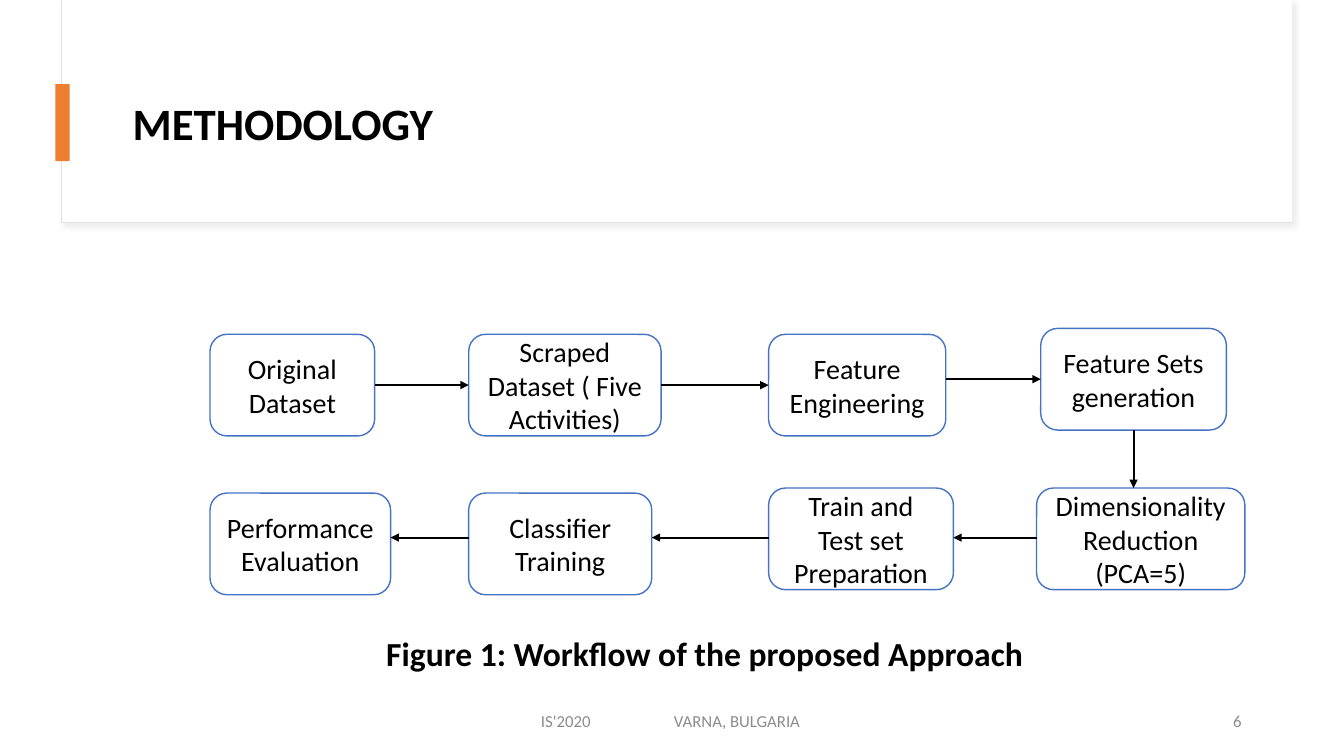
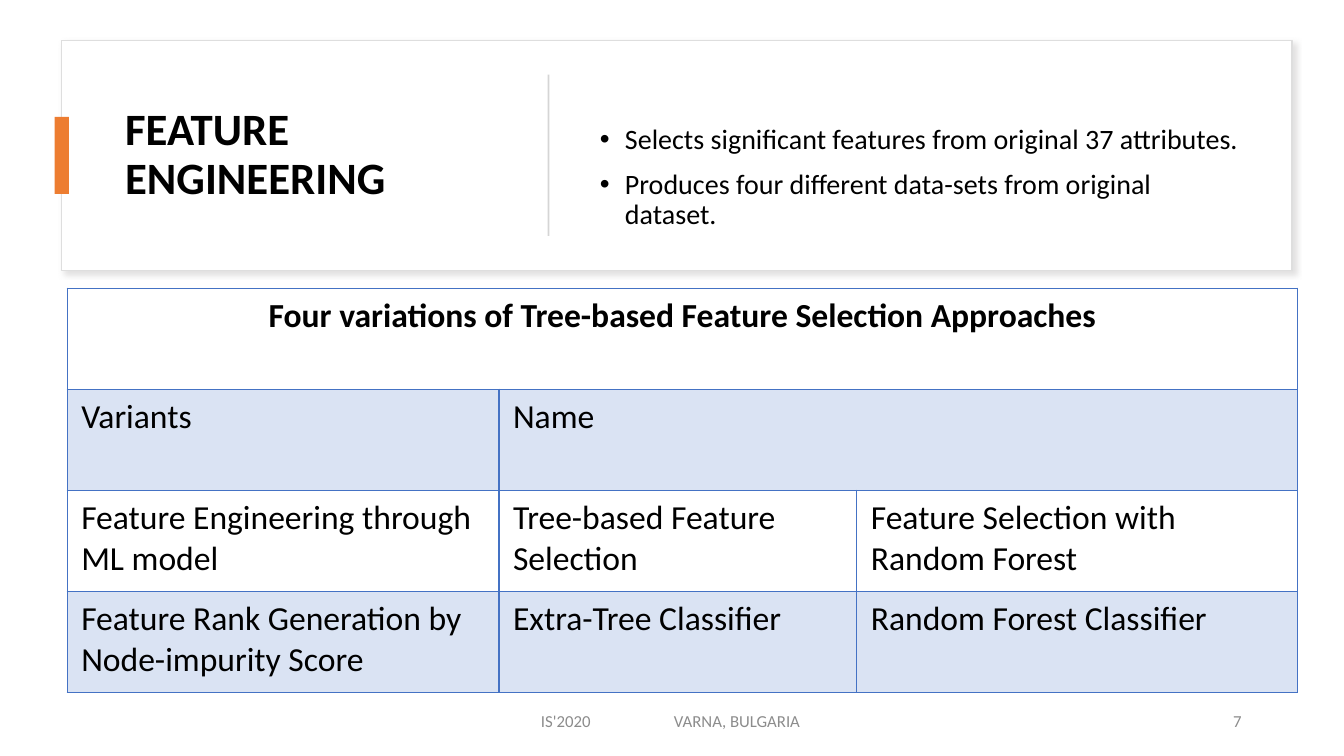
from dataclasses import dataclass
from itertools import pairwise

from lxml import etree
from pptx import Presentation
from pptx import util as u
from pptx.dml.color import RGBColor
from pptx.enum import shapes, text
from pptx.oxml.ns import qn

# The slide is a grid of 160 columns and 90 rows, twelve to the inch.
COLS, ROWS, PER_INCH = 160, 90, 12
FONT = "Calibri"
BLACK, WHITE, GREY = "000000", "FFFFFF", "8C8C8C"
BLUE, PALE_BLUE, ORANGE, RULE = "4472C4", "DAE3F3", "ED7D31", "D5D5D5"
LEFT, CENTER, RIGHT = text.PP_ALIGN.LEFT, text.PP_ALIGN.CENTER, text.PP_ALIGN.RIGHT
TOP, MIDDLE = text.MSO_ANCHOR.TOP, text.MSO_ANCHOR.MIDDLE
RECT, ROUND = shapes.MSO_SHAPE.RECTANGLE, shapes.MSO_SHAPE.ROUNDED_RECTANGLE

STEP_COLS = (25, 55.8, 91.5, 123.9)
STEP_ROWS = (39.8, 58.7)
ARROW_ROWS = (45.85, 64)
STEP_HEIGHT = 12.1


@dataclass(frozen=True)
class Box:
    x: float
    y: float
    w: float
    h: float

    @property
    def emu(self) -> list[u.Emu]:
        return [grid(n) for n in (self.x, self.y, self.w, self.h)]


@dataclass(frozen=True)
class Step:
    label: str
    col: int
    row: int
    width: float
    shift: float = 0
    lift: float = 0

    @property
    def box(self) -> Box:
        return Box(STEP_COLS[self.col] + self.shift, STEP_ROWS[self.row] - self.lift,
                   self.width, STEP_HEIGHT)


# In order of the workflow: along the upper row, then back along the lower one.
STEPS = (
    Step("Original Dataset", 0, 0, 19.6),
    Step("Scraped Dataset ( Five Activities)", 1, 0, 22.9),
    Step("Feature Engineering", 2, 0, 21.1),
    Step("Feature Sets generation", 3, 0, 22.1, lift=0.7),
    Step("Dimensionality Reduction (PCA=5)", 3, 1, 24.8, shift=-0.5, lift=0.6),
    Step("Train and Test set Preparation", 2, 1, 22, lift=0.6),
    Step("Classifier Training", 1, 1, 21.8),
    Step("Performance Evaluation", 0, 1, 21.5),
)

BULLETS = (
    "Selects significant features from original 37 attributes.",
    "Produces four different data-sets from original dataset.",
)

TABLE_COLS = (51.4, 42.6, 52.5)
TABLE_ROW = 12.03
TABLE = (
    ("Four variations of Tree-based Feature Selection Approaches",),
    ("Variants", "Name"),
    ("Feature Engineering through ML model", "Tree-based Feature Selection",
     "Feature Selection with Random Forest"),
    ("Feature Rank Generation by Node-impurity Score", "Extra-Tree Classifier",
     "Random Forest Classifier"),
)


def grid(n: float) -> u.Emu:
    return u.Emu(round(n * u.Inches(1) / PER_INCH))


def rgb(color: str) -> RGBColor:
    return RGBColor.from_string(color)


def add_xml(parent, tag: str, **attrs):
    return etree.SubElement(parent, qn(tag), {k: str(v) for k, v in attrs.items()})


def write(p, words: str, size: float, color: str = BLACK, bold: bool = False, align=LEFT) -> None:
    p.alignment = align
    r = p.add_run()
    r.text = words
    r.font.name, r.font.size, r.font.bold = FONT, u.Pt(size), bold
    r.font.color.rgb = rgb(color)


def add_box(s, box: Box, fill: str, line: str | None = None, width: float = 1, kind=RECT):
    sp = s.shapes.add_shape(kind, *box.emu)
    sp.shadow.inherit = False
    sp.fill.solid()
    sp.fill.fore_color.rgb = rgb(fill)
    if line:
        sp.line.color.rgb = rgb(line)
        sp.line.width = u.Pt(width)
    else:
        sp.line.fill.background()
    return sp


def add_card(s, box: Box, line: str, width: float, shadow: str) -> None:
    sp = add_box(s, box, WHITE, line, width)
    effects = sp.element.spPr.find(qn("a:effectLst"))
    outer = add_xml(effects, "a:outerShdw", blurRad=u.Pt(4), dist=u.Pt(3), dir=45 * 60000,
                    algn="tl", rotWithShape=0)
    color = add_xml(outer, "a:srgbClr", val=shadow)
    add_xml(color, "a:alpha", val=50000)


def add_text(s, box: Box, words: str, size: float, color: str = BLACK, bold: bool = False,
             align=LEFT, anchor=TOP):
    tf = s.shapes.add_textbox(*box.emu).text_frame
    tf.word_wrap = True
    tf.vertical_anchor = anchor
    write(tf.paragraphs[0], words, size, color, bold, align)
    return tf


def place(ph, box: Box):
    """Move a placeholder to the box, in front of what is drawn so far."""
    ph.left, ph.top, ph.width, ph.height = box.emu
    ph.element.getparent().append(ph.element)
    tf = ph.text_frame
    tf.word_wrap = True
    tf.auto_size = text.MSO_AUTO_SIZE.NONE
    tf.vertical_anchor = MIDDLE
    return tf


def add_heading(s, words: str, title: Box, accent_x: float, accent_y: float) -> None:
    p = place(s.shapes.title, title).paragraphs[0]
    p.line_spacing = 0.9
    write(p, words, 32, bold=True)
    add_box(s, Box(accent_x, accent_y, 1.7, 9.2), ORANGE)


def add_footer(s, number: int) -> None:
    tf = add_text(s, Box(53, 83.4, 54, 4.8), "IS'2020\tVARNA, BULGARIA", 12, GREY, anchor=MIDDLE)
    tf.margin_left = u.Inches(0.95)
    tabs = add_xml(tf.paragraphs[0]._p.get_or_add_pPr(), "a:tabLst")
    add_xml(tabs, "a:tab", pos=u.Inches(1.32), algn="l")
    add_text(s, Box(113, 83.4, 36, 4.8), str(number), 12, GREY, align=RIGHT, anchor=MIDDLE)


def add_step(s, step: Step) -> None:
    sp = add_box(s, step.box, WHITE, BLUE, kind=ROUND)
    tf = sp.text_frame
    tf.word_wrap = True
    tf.vertical_anchor = MIDDLE
    write(tf.paragraphs[0], step.label, 20, align=CENTER)


def add_arrow(s, start: Step, end: Step) -> None:
    """Join facing edges, sideways within a row or down to the next row."""
    a, b = start.box, end.box
    if start.row != end.row:
        x1 = x2 = a.x + a.w / 2
        y1, y2 = a.y + a.h, b.y
    else:
        x1, x2 = (a.x + a.w, b.x) if a.x < b.x else (a.x, b.x + b.w)
        y1 = y2 = min(ARROW_ROWS[start.row], a.y + a.h / 2, b.y + b.h / 2)
    c = s.shapes.add_connector(shapes.MSO_CONNECTOR.STRAIGHT, *map(grid, (x1, y1, x2, y2)))
    c.line.color.rgb = rgb(BLACK)
    c.line.width = u.Pt(1.5)
    add_xml(c.line._get_or_add_ln(), "a:tailEnd", type="triangle")
    add_xml(c.element.spPr, "a:effectLst")


def add_bullets(ph, box: Box) -> None:
    tf = place(ph, box)
    tf.margin_top = u.Inches(0.5)
    for i, words in enumerate(BULLETS):
        p = tf.add_paragraph() if i else tf.paragraphs[0]
        pPr = p._p.get_or_add_pPr()
        pPr.set("marL", str(u.Inches(0.25)))
        pPr.set("indent", str(-u.Inches(0.25)))
        add_xml(pPr, "a:buFont", typeface="Arial")
        add_xml(pPr, "a:buChar", char="•")
        p.line_spacing = 0.9
        p.space_before = u.Pt(10 if i else 0)
        write(p, words, 20)


def format_cell(cell, shaded: bool) -> None:
    cell.margin_left = cell.margin_right = u.Inches(0.14)
    cell.margin_top = cell.margin_bottom = u.Inches(0.07)
    if shaded:
        cell.fill.solid()
        cell.fill.fore_color.rgb = rgb(PALE_BLUE)
    else:
        cell.fill.background()
    tcPr = cell._tc.get_or_add_tcPr()
    for i, side in enumerate("LRTB"):
        ln = add_xml(tcPr, f"a:ln{side}", w=u.Pt(1))
        add_xml(add_xml(ln, "a:solidFill"), "a:srgbClr", val=BLUE)
        tcPr.insert(i, ln)


def add_variants_table(s, x: float, y: float) -> None:
    n_rows, n_cols = len(TABLE), len(TABLE_COLS)
    box = Box(x, y, sum(TABLE_COLS), n_rows * TABLE_ROW)
    table = s.shapes.add_table(n_rows, n_cols, *box.emu).table
    table.first_row = table.horz_banding = False
    for column, width in zip(table.columns, TABLE_COLS):
        column.width = grid(width)
    for i, words in enumerate(TABLE):
        table.rows[i].height = grid(TABLE_ROW)
        for j in range(n_cols):
            format_cell(table.cell(i, j), shaded=i % 2 == 1)
        last = len(words) - 1
        if last < n_cols - 1:
            table.cell(i, last).merge(table.cell(i, n_cols - 1))
        for j, entry in enumerate(words):
            write(table.cell(i, j).text_frame.paragraphs[0], entry, 24, bold=i == 0,
                  align=LEFT if i else CENTER)


def add_methodology(prs) -> None:
    s = prs.slides.add_slide(prs.slide_layouts.get_by_name("Title Only"))
    add_card(s, Box(7.3, 0, 146.5, 26.5), "E1E1E1", 0.75, "D9D9D9")
    add_box(s, Box(7.4, 0, 146.4, 26.4), WHITE)
    add_heading(s, "METHODOLOGY", Box(14.6, 7.2, 133.4, 15.5), 6.6, 10)
    for step in STEPS:
        add_step(s, step)
    for start, end in pairwise(STEPS):
        add_arrow(s, start, end)
    add_text(s, Box(44.8, 74.8, 80.6, 6), "Figure 1: Workflow of the proposed Approach", 24,
             bold=True)
    add_footer(s, 6)


def add_feature_engineering(prs) -> None:
    s = prs.slides.add_slide(prs.slide_layouts.get_by_name("Title and Content"))
    add_card(s, Box(7.3, 4.8, 146.5, 27.4), "DEDEDE", 1, "C5C3C3")
    add_heading(s, "FEATURE ENGINEERING", Box(13.7, 7.7, 46.7, 21.6), 6.5, 13.9)
    add_box(s, Box(65.2, 8.9, 0.2, 19.2), RULE)
    add_bullets(s.placeholders[1], Box(70.2, 7.7, 78.7, 21.6))
    add_variants_table(s, 8, 34.3)
    add_footer(s, 7)


def main() -> None:
    prs = Presentation()
    prs.slide_width, prs.slide_height = grid(COLS), grid(ROWS)
    add_methodology(prs)
    add_feature_engineering(prs)
    prs.save("out.pptx")


if __name__ == "__main__":
    main()
